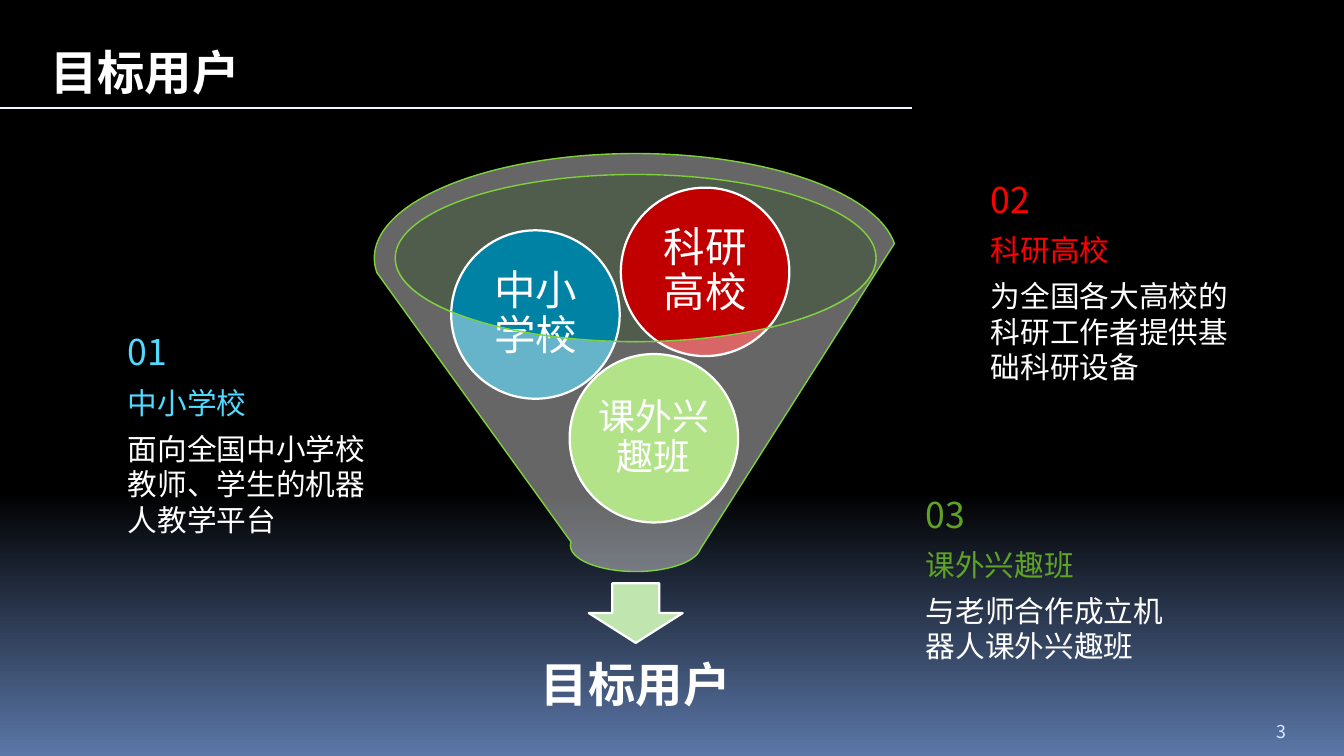
from lxml.etree import SubElement
from pptx import Presentation
from pptx.dml.color import RGBColor
from pptx.enum.shapes import MSO_CONNECTOR, MSO_SHAPE
from pptx.enum.text import MSO_ANCHOR as Anchor, MSO_AUTO_SIZE as AutoSize, PP_ALIGN as Align
from pptx.oxml.ns import qn
from pptx.util import Pt

PX = 9144
SANS = "Noto Sans CJK SC"
WHITE, GREEN = "FFFFFF", "7FD13B"
CIRCLES = [
    (534, 332, GREEN, "课外兴趣班", 25, 3),
    (423, 216, "0082A5", "中小学校", 28, 4),
    (582, 176, "C00000", "科研高校", 28, 4),
]
CAPTIONS = [
    (110, 305, 142, 111, "51DAFF", "01", "中小学校", "面向全国中小学校教师、学生的机器人教学平台"),
    (919, 162, 142, 111, "FF0000", "02", "科研高校", "为全国各大高校的科研工作者提供基础科研设备"),
    (858, 457, 173, 77, "5FA326", "03", "课外兴趣班", "与老师合作成立机器人课外兴趣班"),
]


def px(*lengths):
    """Turn px lengths into EMU."""
    return [length * PX for length in lengths]


def rgb(value):
    """Turn a hex string into a colour."""
    return RGBColor.from_string(value)


def write(shape, text, size, color=WHITE, font=SANS, bold=False, align=Align.LEFT,
          anchor=Anchor.TOP, inset=(10, 5), spacing=None, wrap=True):
    """Put one formatted paragraph into a shape."""
    frame = shape.text_frame
    frame.text = text
    frame.word_wrap = wrap
    frame.auto_size = AutoSize.NONE
    frame.vertical_anchor = anchor
    frame.margin_left, frame.margin_top = frame.margin_right, frame.margin_bottom = px(*inset)
    para = frame.paragraphs[0]
    para.alignment = align
    if spacing:
        para.line_spacing = spacing
    para.font.size, para.font.bold, para.font.name = Pt(size), bold, font
    para.font.color.rgb = rgb(color)
    defaults = para._p.find(qn("a:pPr")).find(qn("a:defRPr"))
    SubElement(defaults, qn("a:ea")).set("typeface", SANS)


def add_label(page, box, text, size, **style):
    """Add a text box."""
    write(page.shapes.add_textbox(*px(*box)), text, size, **style)


def add_figure(page, kind, box, fill, line=None, width=1.5, opacity=None):
    """Add a preset shape with a flat fill and an optional outline."""
    shape = page.shapes.add_shape(kind, *px(*box))
    shape.shadow.inherit = False
    shape.fill.solid()
    shape.fill.fore_color.rgb = rgb(fill)
    if opacity:
        color = shape._element.spPr.find(qn("a:solidFill"))[0]
        SubElement(color, qn("a:alpha")).set("val", str(opacity * 1000))
    if line:
        shape.line.color.rgb = rgb(line)
        shape.line.width = Pt(width)
    else:
        shape.line.fill.background()
    return shape


def paint_background(page):
    """Fade the page from black to blue at the bottom."""
    fill = page.background.fill
    fill.gradient()
    fill.gradient_angle = 270
    for stop, color, position in zip(fill.gradient_stops, ("000000", "5B77A8"), (0.65, 1)):
        stop.color.rgb = rgb(color)
        stop.position = position


def add_heading(page, left, top, width, height):
    """Place the title and the rule below it."""
    title = page.shapes.title
    title.left, title.top, title.width, title.height = px(left, top, width, height)
    write(title, "目标用户", 32, bold=True, inset=(11, 6), wrap=False)
    level = top + height + 2
    rule = page.shapes.add_connector(MSO_CONNECTOR.STRAIGHT, *px(0, level, 855, level))
    rule.line.color.rgb = rgb("EFF7FF")
    rule.line.width = Pt(1.5)
    SubElement(rule._element.spPr, qn("a:effectLst"))


def add_funnel(page, left, top, width, height):
    """Draw the funnel, the user groups in it and the result below it."""
    add_figure(page, MSO_SHAPE.OVAL, (left + 19, top + 20, width - 38, 157), "CCE9BF", opacity=40)
    add_figure(page, MSO_SHAPE.DOWN_ARROW, (left + 201, top + 403, 88, 56), "C0E5AF", WHITE)
    centred = dict(align=Align.CENTER, anchor=Anchor.MIDDLE, spacing=0.9)
    add_label(page, (left + 35, top + 448, width - 70, 105), "目标用户", 32,
              bold=True, inset=(25, 25), **centred)
    for x, y, color, name, size, inset in CIRCLES:
        circle = add_figure(page, MSO_SHAPE.OVAL, (x, y, 158, 158), color, WHITE)
        write(circle, name, size, font="Calibri", inset=(inset, inset), **centred)
    add_figure(page, MSO_SHAPE.FUNNEL, (left, top, width, height), WHITE, GREEN, 0.94, 40)


def add_caption(page, left, top, name_width, body_height, color, number, name, body):
    """Stack a number, a group name and its description."""
    add_label(page, (left, top, 63, 50), number, 24, color=color)
    add_label(page, (left, top + 51, name_width, 44), name, 20, color=color)
    add_label(page, (left, top + 94, 252, body_height), body, 20)


def main():
    """Build and save the deck."""
    deck = Presentation()
    deck.slide_width, deck.slide_height = px(1260, 709)
    page = deck.slides.add_slide(deck.slide_layouts[5])
    paint_background(page)
    add_heading(page, 36, 34, 202, 65)
    add_funnel(page, 351, 144, 490, 392)
    for caption in CAPTIONS:
        add_caption(page, *caption)
    add_label(page, (1187, 663, 63, 38), "3", 12, color="D6ECFF", anchor=Anchor.BOTTOM)
    deck.save("out.pptx")


if __name__ == "__main__":
    main()
